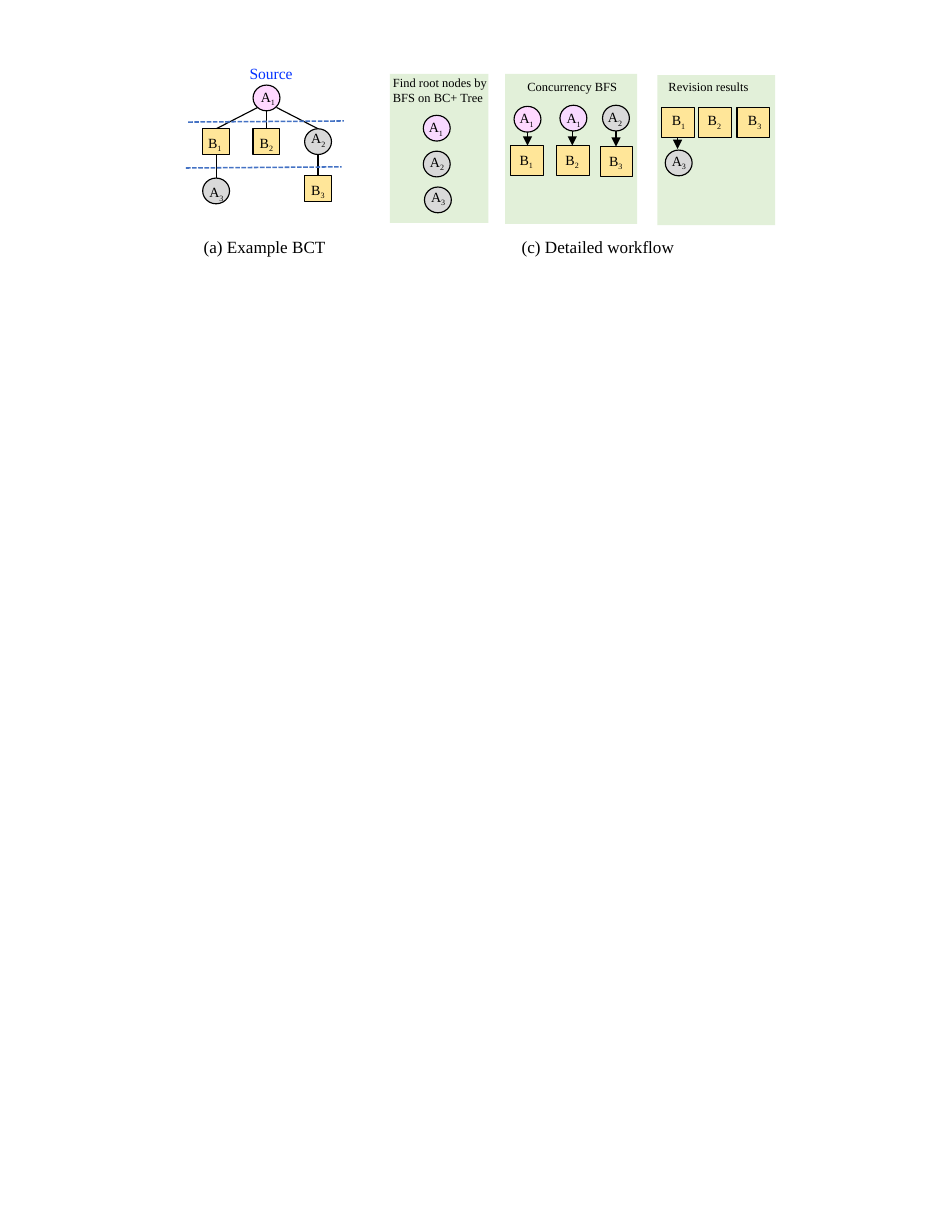
from pptx import Presentation
from pptx import util as u
from pptx.dml import color
from pptx.enum import dml, shapes, text
from pptx.oxml import ns, xmlchemy

PINK, LILAC, GREY, SAND, GREEN = "FFD8FF", "F8D9FF", "D9D9D9", "FFE699", "E2F0D9"
BLACK, BLUE, DASH = "000000", "0432FF", "4472C4"
SMALL, WIDE = (0.24, 0.23), (0.29, 0.27)


def rgb(value):
    return color.RGBColor.from_string(value)


class Diagram:
    """Draws block-cut tree elements on one slide in a shared style."""

    font = "Times New Roman"
    line_width = 0.75
    box_format = {"word_wrap": True, "auto_size": text.MSO_AUTO_SIZE.SHAPE_TO_FIT_TEXT}

    def __init__(self, slide):
        self.s = slide

    def shape(self, kind, x, y, w, h, fill, outline=None):
        sp = self.s.shapes.add_shape(kind, *map(u.Inches, (x, y, w, h)))
        sp.shadow.inherit = False
        sp.fill.solid()
        sp.fill.fore_color.rgb = rgb(fill)
        if outline:
            sp.line.color.rgb = rgb(outline)
            sp.line.width = u.Pt(self.line_width)
        else:
            sp.line.fill.background()

    def panel(self, x, y, w, h):
        self.shape(shapes.MSO_SHAPE.RECTANGLE, x, y, w, h, GREEN)

    def text(self, words, x, y, w, h, size, ink=BLACK, sub=None):
        tf = self.s.shapes.add_textbox(*map(u.Inches, (x, y, w, h))).text_frame
        for key, value in self.box_format.items():
            setattr(tf, key, value)
        p = tf.paragraphs[0]
        for part in filter(None, (words, sub)):
            r = p.add_run()
            r.text = part
            for key, value in {"name": self.font, "size": u.Pt(size)}.items():
                setattr(r.font, key, value)
            r.font.color.rgb = rgb(ink)
        if sub:
            r._r.get_or_add_rPr().set("baseline", "-25000")

    def node(self, name, x, y, label_x, label_y, fill=SAND, size=SMALL):
        kind = shapes.MSO_SHAPE.OVAL if name[0] == "A" else shapes.MSO_SHAPE.RECTANGLE
        self.shape(kind, x, y, *size, fill, BLACK)
        self.text(name[0], label_x, label_y, 0.38, 0.57, 9, sub=name[1])

    def line(self, x1, y1, x2, y2, ink=BLACK, width=line_width, dash=None, arrow=False):
        c = self.s.shapes.add_connector(
            shapes.MSO_CONNECTOR.STRAIGHT, *map(u.Inches, (x1, y1, x2, y2)))
        for key, value in {"width": u.Pt(width), "dash_style": dash}.items():
            setattr(c.line, key, value)
        c.line.color.rgb = rgb(ink)
        if arrow:
            tail = xmlchemy.OxmlElement("a:tailEnd")
            tail.set("type", "triangle")
            c.line._get_or_add_ln().append(tail)
        c._element.spPr.append(c._element.spPr.makeelement(ns.qn("a:effectLst"), {}))


def main():
    prs = Presentation()
    prs.slide_width, prs.slide_height = u.Inches(8.5), u.Inches(11)
    d = Diagram(prs.slides.add_slide(prs.slide_layouts[6]))

    for panel in ((3.48, 0.66, 0.88, 1.33), (4.51, 0.66, 1.18, 1.34), (5.87, 0.67, 1.05, 1.34)):
        d.panel(*panel)

    for words, x, y, w, h, size, ink in (
        ("(a) Example BCT", 1.72, 2.06, 1.93, 0.29, 11, BLACK),
        ("(c) Detailed workflow", 4.56, 2.06, 1.93, 0.29, 11, BLACK),
        ("Find root nodes by BFS on BC+ Tree", 3.41, 0.62, 1.05, 0.37, 8, BLACK),
        ("Concurrency BFS", 4.61, 0.66, 1.05, 0.24, 8, BLACK),
        ("Revision results", 5.87, 0.66, 1.05, 0.24, 8, BLACK),
        ("Source", 2.13, 0.52, 0.68, 0.27, 10, BLUE),
    ):
        d.text(words, x, y, w, h, size, ink)

    for edge in (
        (2.3, 0.96, 1.93, 1.15), (2.38, 0.99, 2.38, 1.15), (2.47, 0.96, 2.84, 1.15),
        (1.93, 1.38, 1.93, 1.59), (2.84, 1.38, 2.84, 1.57),
    ):
        d.line(*edge)

    for x, top, bottom in ((4.71, 1.18, 1.3), (5.11, 1.17, 1.3),
                           (5.5, 1.17, 1.31), (6.05, 1.23, 1.33)):
        d.line(x, top, x, bottom, arrow=True)

    for name, x, y, label_x, label_y, fill in (
        ("A1", 2.26, 0.76, 2.23, 0.74, PINK),
        ("A2", 2.72, 1.15, 2.68, 1.11, GREY),
        ("A3", 1.81, 1.59, 1.77, 1.59, GREY),
        ("B1", 1.81, 1.15, 1.76, 1.15, SAND),
        ("B2", 2.26, 1.15, 2.22, 1.15, SAND),
        ("B3", 2.72, 1.57, 2.68, 1.57, SAND),
        ("A1", 3.78, 1.03, 3.73, 1.01, LILAC),
        ("A2", 3.78, 1.35, 3.74, 1.32, GREY),
        ("A3", 3.79, 1.67, 3.75, 1.63, GREY),
        ("A1", 4.59, 0.95, 4.54, 0.93, PINK),
        ("A1", 5, 0.94, 4.96, 0.93, LILAC),
        ("A2", 5.38, 0.94, 5.33, 0.92, GREY),
        ("A3", 5.94, 1.34, 5.9, 1.31, GREY),
    ):
        d.node(name, x, y, label_x, label_y, fill)

    for name, x, y, label_x, label_y in (
        ("B1", 4.56, 1.3, 4.54, 1.3),
        ("B2", 4.97, 1.3, 4.95, 1.3),
        ("B3", 5.36, 1.31, 5.34, 1.31),
        ("B1", 5.91, 0.96, 5.9, 0.95),
        ("B2", 6.24, 0.96, 6.22, 0.95),
        ("B3", 6.58, 0.96, 6.58, 0.95),
    ):
        d.node(name, x, y, label_x, label_y, size=WIDE)

    for x, y in ((1.68, 1.09), (1.66, 1.5)):
        d.line(x, y, x + 1.39, y - 0.01, DASH, 1, dml.MSO_LINE.SQUARE_DOT)

    prs.save("out.pptx")


if __name__ == "__main__":
    main()
